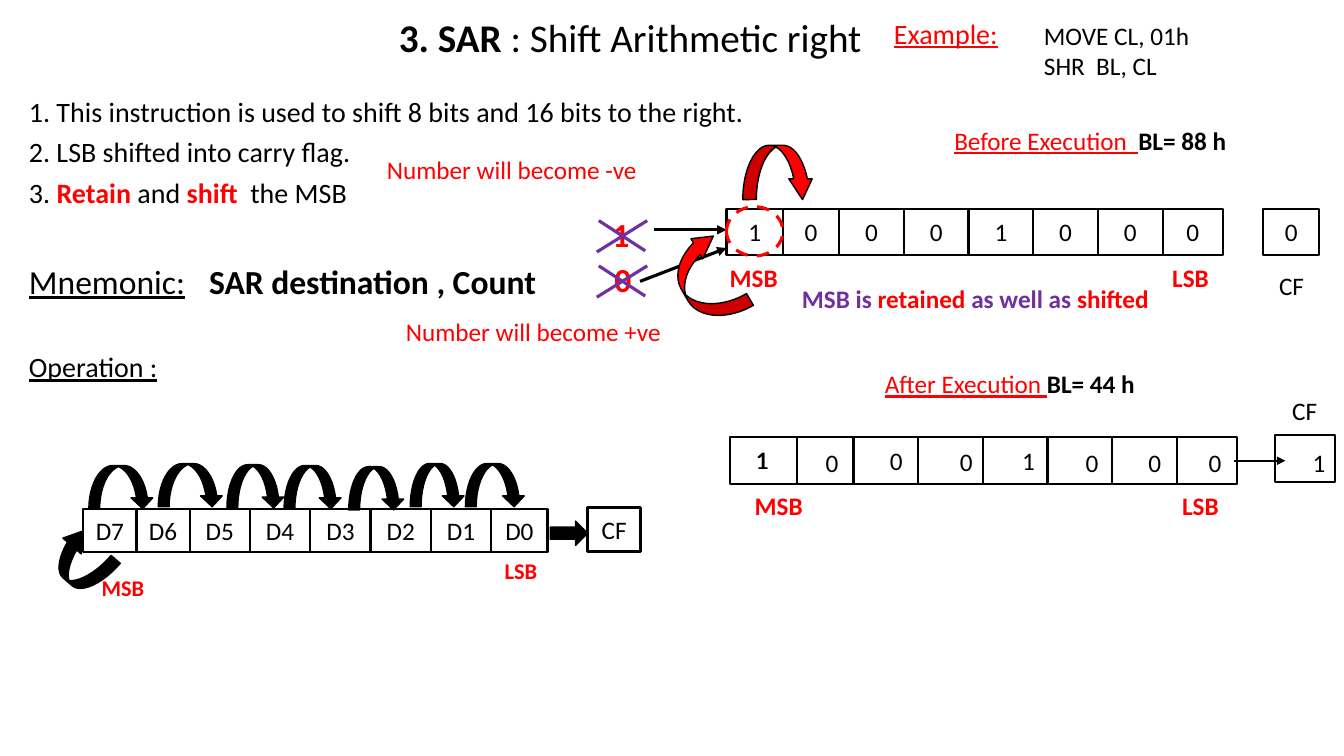
from dataclasses import dataclass
from itertools import accumulate

from lxml import etree
from pptx import Presentation
from pptx import util as u
from pptx.dml.color import RGBColor
from pptx.enum import dml, shapes, text
from pptx.oxml.ns import qn


@dataclass(frozen=True)
class Theme:
    """Colours, font and type sizes of the slide."""
    font: str = "Calibri"
    ink: str = "000000"
    accent: str = "FF0000"
    cross: str = "7030A0"
    title: int = 28
    large: int = 24
    body: int = 20
    normal: int = 18
    small: int = 16


THEME = Theme()
MIDDLE = text.MSO_ANCHOR.MIDDLE
CENTER = text.PP_ALIGN.CENTER
CELL_HEIGHT = 1.17
REGISTER_HEIGHT = 1.09


def cm(values):
    """Turn numbers into centimetre lengths."""
    return [u.Cm(value) for value in values]


def run(words, color=THEME.ink, bold=None, underline=None):
    """Describe one styled piece of text."""
    return words, color, bold, underline


def write(frame, paragraphs, size, align=None, line=None, before=None):
    """Fill a text frame with paragraphs, each a list of runs."""
    for index, pieces in enumerate(paragraphs):
        paragraph = frame.add_paragraph() if index else frame.paragraphs[0]
        paragraph.alignment = align
        paragraph.line_spacing = line
        if before:
            paragraph.space_before = u.Pt(before)
        paragraph.font.name = THEME.font
        paragraph.font.size = u.Pt(size)
        for words, color, bold, underline in pieces:
            piece = paragraph.add_run()
            piece.text = words
            font = paragraph.font if len(pieces) == 1 else piece.font
            font.color.rgb = RGBColor.from_string(color)
            font.bold = bold
            font.underline = underline


def label(slide, box, paragraphs, size=THEME.normal, anchor=None, wrap=True, **style):
    """Add a text box and return its text frame."""
    frame = slide.shapes.add_textbox(*cm(box)).text_frame
    frame.word_wrap = wrap
    frame.vertical_anchor = anchor
    write(frame, paragraphs, size, **style)
    return frame


def note(slide, box, pieces, size=THEME.normal):
    """Add a one-paragraph remark with the tighter spacing."""
    label(slide, box, [pieces], size, line=0.9, before=10)


def tab_stop(paragraph, position):
    """Give a paragraph one left tab stop."""
    tabs = etree.SubElement(paragraph._p.get_or_add_pPr(), qn("a:tabLst"))
    etree.SubElement(tabs, qn("a:tab"), pos=str(u.Cm(position)), algn="l")
    # Schema order puts the tab list ahead of the default run properties.
    defaults = paragraph._p.pPr.find(qn("a:defRPr"))
    if defaults is not None:
        defaults.addprevious(tabs)


def outline(slide, kind, box, fill=None, color=THEME.ink, weight=1.5):
    """Add a preset shape with an outline and an optional fill."""
    shape = slide.shapes.add_shape(kind, *cm(box))
    shape.shadow.inherit = False
    if fill:
        shape.fill.solid()
        shape.fill.fore_color.rgb = RGBColor.from_string(fill)
    else:
        shape.fill.background()
    shape.line.color.rgb = RGBColor.from_string(color)
    shape.line.width = u.Pt(weight)
    return shape


def cell(slide, box, bit="", weight=1.5):
    """Add one box of a register, with its bit centred."""
    shape = outline(slide, shapes.MSO_SHAPE.RECTANGLE, box, weight=weight)
    if bit:
        frame = shape.text_frame
        frame.margin_left = frame.margin_right = 0
        frame.vertical_anchor = MIDDLE
        write(frame, [[run(bit)]], THEME.normal, align=CENTER)


def register(slide, left, top, height, widths, bits):
    """Add a row of adjoining cells."""
    lefts = accumulate(widths[:-1], initial=left)
    for x, width, bit in zip(lefts, widths, bits):
        cell(slide, (x, top, width, height), bit)


def curved_arrow(slide, box, fill=THEME.ink, rotation=0, bend=(0.25, 0.5, 0.25)):
    """Add a curved arrow that shows a bit moving."""
    arrow = outline(slide, shapes.MSO_SHAPE.CURVED_DOWN_ARROW, box, fill, weight=1)
    arrow.rotation = rotation
    for index, value in enumerate(bend):
        arrow.adjustments[index] = value


def stroke(slide, ends, color=THEME.ink, weight=2.25, head=False):
    """Add a straight line, optionally ending in an arrowhead."""
    line = slide.shapes.add_connector(shapes.MSO_CONNECTOR.STRAIGHT, *cm(ends))
    line.line.color.rgb = RGBColor.from_string(color)
    line.line.width = u.Pt(weight)
    if head:
        etree.SubElement(line.line._get_or_add_ln(), qn("a:tailEnd"), type="triangle")
    etree.SubElement(line._element.spPr, qn("a:effectLst"))


def bit_names(slide, marks, size=THEME.normal):
    """Add the red MSB and LSB marks."""
    for name, box in marks:
        label(slide, box, [[run(name, THEME.accent, True)]], size)


def explanation(slide):
    """Add the title, rules, mnemonic and example code."""
    label(slide, (9.8, 0.2, 15.8, 1.45),
          [[run("3. SAR", bold=True), run(" : Shift Arithmetic right")]], THEME.title)
    mnemonic = label(slide, (0.48, 6.25, 14.7, 1.78),
                     [[run("Mnemonic:", underline=True), run("\t"),
                       run("SAR destination , Count", bold=True)]],
                     THEME.large, MIDDLE, line=0.9)
    tab_stop(mnemonic.paragraphs[0], 4.54)
    rules = [
        [run("1. This instruction is used to shift 8 bits and 16 bits to the right.")],
        [run("2. LSB shifted into carry flag.")],
        [run("3. "), run("Retain", THEME.accent, True), run(" and "),
         run("shift", THEME.accent, True), run("  the MSB")],
    ]
    label(slide, (0.48, 2.41, 19.35, 3.1), rules, THEME.body, line=0.8, before=10)
    note(slide, (0.48, 8.79, 4.7, 1.07), [run("Operation :", underline=True)], THEME.body)
    note(slide, (22.28, 0.38, 7.87, 1.09),
         [run("Example:", THEME.accent, underline=True)], THEME.body)
    label(slide, (26.06, 0.38, 4.88, 1.8), [[run("MOVE CL, 01h")], [run("SHR  BL, CL")]])


def before_execution(slide):
    """Add the register before the shift, with the choice of incoming bit."""
    top = 5.26
    register(slide, 18.31, top, CELL_HEIGHT, [1.42] * 2 + [1.63] * 5 + [1.52], "10001000")
    cell(slide, (31.83, top, 1.42, CELL_HEIGHT), "0")
    label(slide, (31.98, 6.68, 1.14, 1.02), [[run("CF")]], wrap=False, align=CENTER)
    bit_names(slide, [("LSB", (29.29, 6.48, 1.63, 0.99)), ("MSB", (18.14, 6.48, 1.75, 0.99))])
    note(slide, (23.8, 3.12, 7.72, 1.52),
         [run("Before Execution  ", THEME.accent, underline=True), run("BL= 88 h", bold=True)])

    for bit, left, drop in (("1", 14.94, 0), ("0", 14.99, 1.14)):
        label(slide, (left, 5.31 + drop, 1.42, 1.17), [[run(bit, THEME.accent, True)]],
              THEME.large, MIDDLE, align=CENTER)
        for x1, y1, x2, y2 in ((15.09, 5.56, 16.26, 6.32), (16.31, 5.56, 15.04, 6.35)):
            stroke(slide, (x1, y1 + drop, x2, y2 + drop), THEME.cross)
    for ends in ((16.48, 5.79, 18.31, 5.79), (16.13, 7.09, 18.31, 6.25)):
        stroke(slide, ends, head=True)
    for sign, left, top in (("-", 9.5, 3.86), ("+", 9.98, 7.92)):
        note(slide, (left, top, 7.47, 0.99), [run(f"Number will become {sign}ve", THEME.accent)])

    ring = outline(slide, shapes.MSO_SHAPE.OVAL, (18.31, 5.21, 1.42, 1.24),
                   color=THEME.accent, weight=2.25)
    ring.line.dash_style = dml.MSO_LINE.DASH
    note(slide, (19.96, 7.11, 9.45, 0.99),
         [run(words, color, True) for words, color in (
             ("MSB is ", THEME.cross), ("retained", THEME.accent),
             (" as well as ", THEME.cross), ("shifted", THEME.accent))])
    bend = (0.25, 0.43, 0.38)
    curved_arrow(slide, (16.66, 6.35, 2.31, 1.37), THEME.accent, 240, bend)
    curved_arrow(slide, (18.72, 3.66, 1.8, 1.37), THEME.accent, bend=bend)


def after_execution(slide):
    """Add the register after the shift, with its bits set low in the cells."""
    note(slide, (22.05, 9.25, 7.47, 1.52),
         [run("After Execution ", THEME.accent, underline=True), run("BL= 44 h", bold=True)])
    register(slide, 18.39, 11.02, CELL_HEIGHT, [1.7, 1.42] + [1.63] * 5 + [1.52], [""] * 8)
    cell(slide, (32.13, 10.97, 1.52, CELL_HEIGHT))
    label(slide, (32.31, 9.83, 1.14, 1.02), [[run("CF")]], wrap=False, align=CENTER)
    bit_names(slide, [("LSB", (29.54, 12.24, 1.63, 0.99)), ("MSB", (18.77, 12.24, 1.75, 0.99))])
    # The leading bit is set twice, which thickens it.
    bits = (("1", 18.8, 11.07), ("1", 18.78, 11.07), ("0", 20.55, 11.15),
            ("0", 22.17, 11.1), ("0", 23.93, 11.13), ("1", 25.5, 11.1),
            ("0", 27.1, 11.15), ("0", 28.68, 11.15), ("0", 30.2, 11.15),
            ("1", 32.82, 11.15))
    for bit, left, top in bits:
        label(slide, (left, top, 0.84, 1.02), [[run(bit)]], wrap=False, align=CENTER)
    stroke(slide, (31.09, 11.61, 32.39, 11.61), weight=1.5, head=True)


def operation(slide):
    """Add the D7 to D0 register, its carry flag and the shift arrows."""
    names = [f"D{bit}" for bit in range(7, -1, -1)]
    register(slide, 2.1, 12.83, REGISTER_HEIGHT, [1.34] * 2 + [1.52] * 5 + [1.42], names)
    cell(slide, (14.81, 12.8, 1.34, REGISTER_HEIGHT), "CF", 2.25)
    hops = ((2.24, 11.73, 1.63), (3.99, 11.68, 1.63), (5.72, 11.71, 1.45),
            (7.16, 11.73, 1.45), (8.79, 11.76, 1.4), (10.34, 11.68, 1.37),
            (11.73, 11.68, 1.5))
    for left, top, width in hops:
        curved_arrow(slide, (left, top, width, REGISTER_HEIGHT))
    carry = outline(slide, shapes.MSO_SHAPE.LEFT_ARROW, (13.87, 13.13, 0.94, 0.61),
                    THEME.ink, weight=1)
    carry.rotation = 180
    bit_names(slide, [("LSB", (12.47, 13.92, 1.52, 0.89)),
                      ("MSB", (2.31, 14.35, 1.65, 0.89))], THEME.small)
    curved_arrow(slide, (1.27, 13.54, 1.55, 1.22), rotation=220.8, bend=(0.25, 0.5, 0.38))


def main():
    """Build the slide and save it."""
    deck = Presentation()
    deck.slide_width, deck.slide_height = cm((33.87, 19.05))
    slide = deck.slides.add_slide(deck.slide_layouts[6])
    for part in (explanation, before_execution, after_execution, operation):
        part(slide)
    deck.save("out.pptx")


main()
